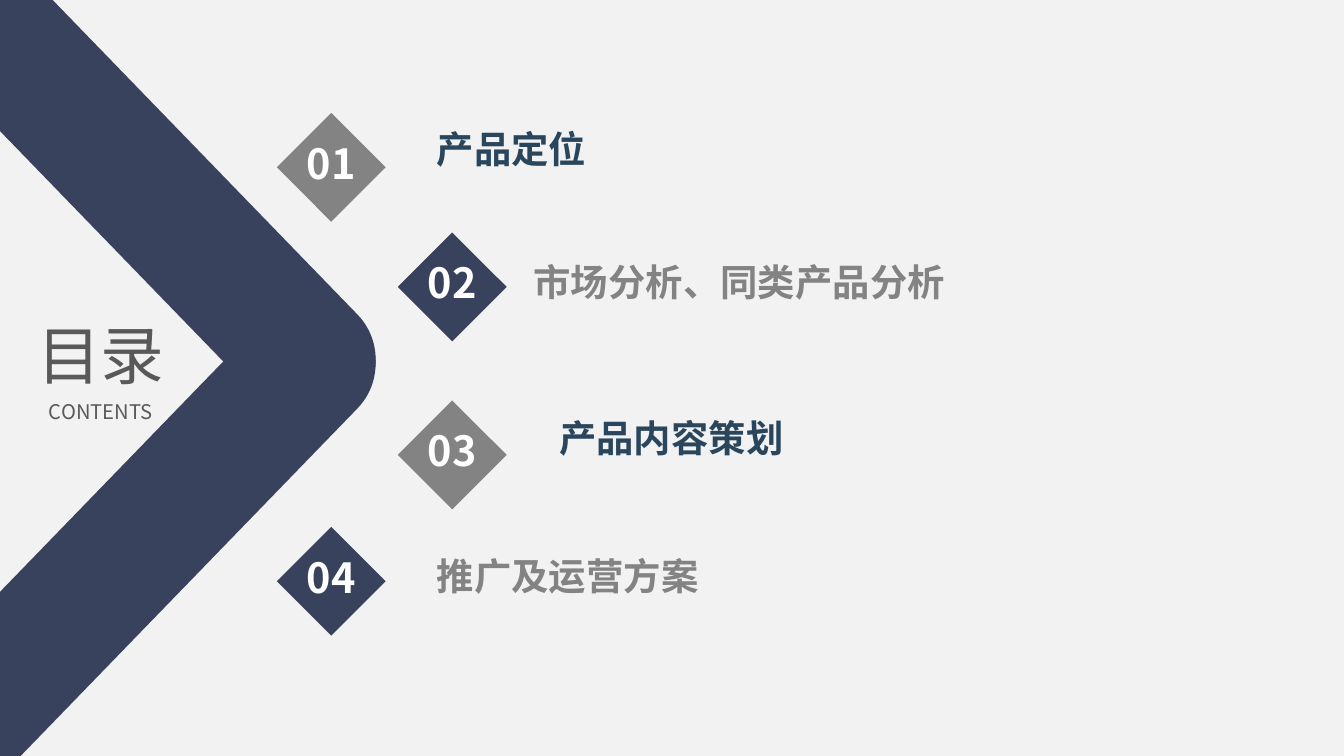
from dataclasses import dataclass

from lxml import etree
from pptx import Presentation
from pptx.dml.color import RGBColor
from pptx.enum import shapes, text
from pptx.oxml import ns
from pptx.shapes.autoshape import Shape
from pptx.slide import Slide
from pptx.util import Inches, Pt


@dataclass(frozen=True)
class Theme:
    font: str = "Noto Sans CJK SC"
    backdrop: str = "F2F2F2"
    navy: str = "39425D"
    gray: str = "838383"
    teal: str = "2A465C"
    heading: str = "595959"
    white: str = "FFFFFF"
    title_size: float = 34.1
    subtitle_size: float = 10.8
    number_size: float = 22.2
    topic_size: float = 20


@dataclass(frozen=True)
class Frame:
    left: float
    top: float
    width: float
    height: float

    def lengths(self) -> tuple[int, ...]:
        return tuple(Inches(n) for n in (self.left, self.top, self.width, self.height))


@dataclass(frozen=True)
class Topic:
    title: str
    diamond_left: float
    diamond_top: float
    diamond_color: str
    title_frame: Frame
    title_color: str


THEME = Theme()
SLIDE_WIDTH = Inches(10)
SLIDE_HEIGHT = SLIDE_WIDTH * 9 // 16
DIAMOND_SIZE = 0.81
TITLE_INDENT = 0.39
TIGHT_SPACING = 0.8
BAR_ANGLE = 45.9
OUTER_LEFT, INNER_LEFT = 2.06, 2.96

TOPICS = [
    Topic("产品定位", OUTER_LEFT, 0.84, THEME.gray,
          Frame(2.86, 1.04, 2.78, 0.23), THEME.teal),
    Topic("市场分析、同类产品分析", INNER_LEFT, 1.73, THEME.navy,
          Frame(3.58, 1.83, 3.75, 0.43), THEME.gray),
    Topic("产品内容策划", INNER_LEFT, 2.98, THEME.gray,
          Frame(3.77, 3.25, 2.78, 0.17), THEME.teal),
    Topic("推广及运营方案", OUTER_LEFT, 3.92, THEME.navy,
          Frame(2.86, 3.92, 2.78, 0.53), THEME.gray),
]


def write(box: Shape, words: str, size: float, color: str, bold: bool = False,
          centered: bool = False) -> None:
    """Write one line; centered lines are set with tight spacing."""
    para = box.text_frame.paragraphs[0]
    if centered:
        para.alignment = text.PP_ALIGN.CENTER
        para.line_spacing = TIGHT_SPACING
    span = para.add_run()
    span.text = words
    span.font.name = THEME.font
    span.font.size = Pt(size)
    span.font.bold = bold
    span.font.color.rgb = RGBColor.from_string(color)
    east_asian = etree.SubElement(span.font._element, ns.qn("a:ea"))
    east_asian.set("typeface", THEME.font)


def add_plain_shape(page: Slide, kind: shapes.MSO_SHAPE, frame: Frame, color: str) -> Shape:
    shape = page.shapes.add_shape(kind, *frame.lengths())
    shape.shadow.inherit = False
    shape.fill.solid()
    shape.fill.fore_color.rgb = RGBColor.from_string(color)
    shape.line.fill.background()
    return shape


def add_text_box(page: Slide, frame: Frame, indent: float = 0) -> Shape:
    box = page.shapes.add_textbox(*frame.lengths())
    body = box.text_frame
    body.margin_left = Inches(indent)
    body.margin_top = body.margin_right = body.margin_bottom = 0
    body.word_wrap = True
    return box


def add_arrow_bar(page: Slide, top: float, angle: float) -> None:
    frame = Frame(-3.49, top, 7.24, 0.96)
    bar = add_plain_shape(page, shapes.MSO_SHAPE.ROUNDED_RECTANGLE, frame, THEME.navy)
    bar.adjustments[0] = 0.5
    bar.rotation = angle


def add_heading(page: Slide) -> None:
    title = add_text_box(page, Frame(0.12, 2.46, 1.26, 0.48))
    write(title, "目录", THEME.title_size, THEME.heading, centered=True)
    subtitle = add_text_box(page, Frame(0.12, 3.01, 1.26, 0.15))
    write(subtitle, "CONTENTS", THEME.subtitle_size, THEME.heading, centered=True)


def add_topic(page: Slide, number: int, topic: Topic) -> None:
    frame = Frame(topic.diamond_left, topic.diamond_top, DIAMOND_SIZE, DIAMOND_SIZE)
    diamond = add_plain_shape(page, shapes.MSO_SHAPE.DIAMOND, frame, topic.diamond_color)
    diamond.text_frame.word_wrap = False
    diamond.text_frame.vertical_anchor = text.MSO_ANCHOR.MIDDLE
    write(diamond, f"{number:02d}", THEME.number_size, THEME.white, bold=True, centered=True)

    title = add_text_box(page, topic.title_frame, TITLE_INDENT)
    title.text_frame.word_wrap = False
    title.text_frame.vertical_anchor = text.MSO_ANCHOR.BOTTOM
    write(title, topic.title, THEME.topic_size, topic.title_color, bold=True)


def main() -> None:
    deck = Presentation()
    deck.slide_width, deck.slide_height = SLIDE_WIDTH, SLIDE_HEIGHT
    page = deck.slides.add_slide(deck.slide_layouts[6])
    page.background.fill.solid()
    page.background.fill.fore_color.rgb = RGBColor.from_string(THEME.backdrop)

    add_arrow_bar(page, -0.06, BAR_ANGLE)
    add_arrow_bar(page, 4.48, 360 - BAR_ANGLE)
    add_heading(page)
    for number, topic in enumerate(TOPICS, start=1):
        add_topic(page, number, topic)
    deck.save("out.pptx")


if __name__ == "__main__":
    main()
